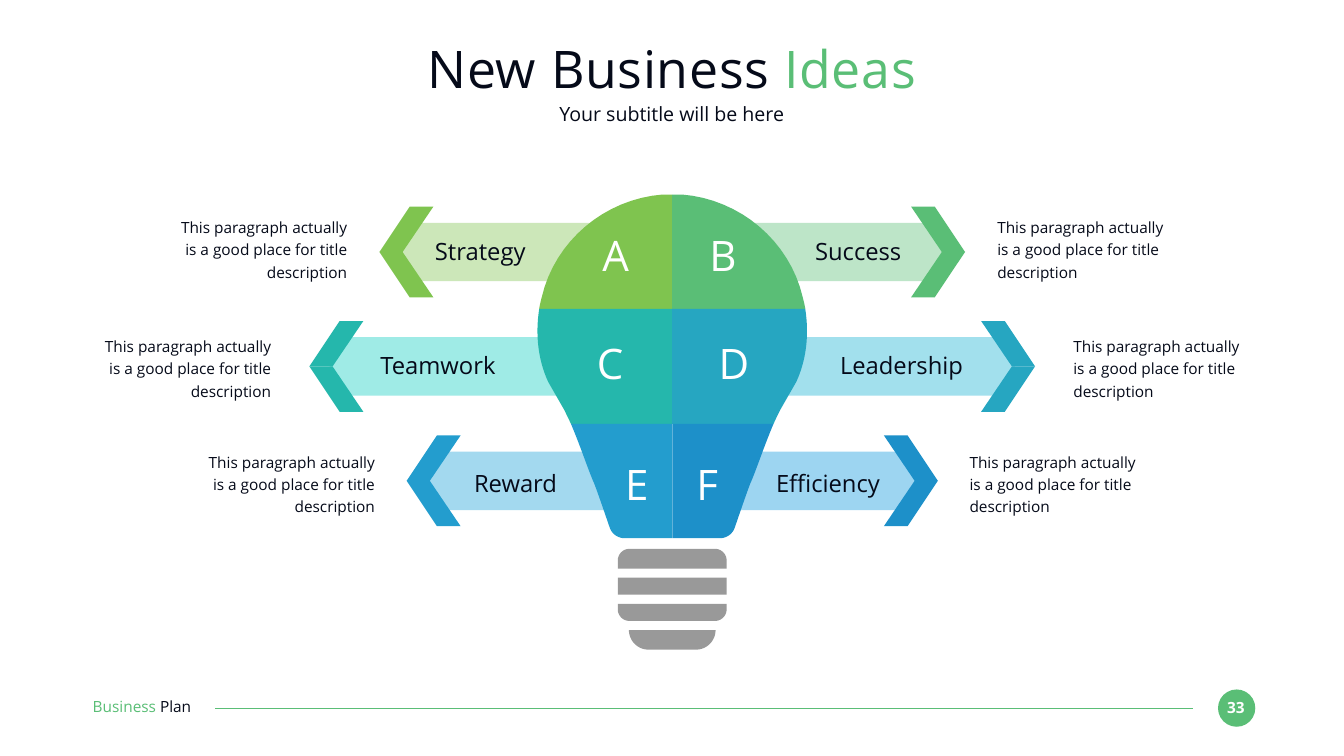
import pptx
import pptx.dml.color
import pptx.enum.shapes
import pptx.enum.text
import pptx.util
from lxml import etree

PX = 9144  # 100 px to the inch
AXIS = 1334  # the bulb is symmetric about this x
LEFT, RIGHT, BOTH = -1, 1, 0
INK, WHITE, GREEN, GREY = "050A19", "FFFFFF", "5ABE76", "999999"
rgb = pptx.dml.color.RGBColor.from_string
ALIGN = pptx.enum.text.PP_ALIGN

deck = pptx.Presentation()
deck.slide_width, deck.slide_height = 2667 * PX, 1500 * PX
slide = deck.slides.add_slide(deck.slide_layouts[6])


def draw(outline, colour, side):
    """Fill an outline given as (distance from AXIS, y); six numbers make a Bezier curve."""
    points = [outline[0]]
    for step in outline[1:]:
        if len(step) == 2:
            points.append(step)
            continue
        (x0, y0), (x1, y1, x2, y2, x3, y3) = points[-1], step
        for i in range(1, 17):
            t = i / 16
            u = 1 - t
            a, b, c, d = u ** 3, 3 * u * u * t, 3 * u * t * t, t ** 3
            points.append((a * x0 + b * x1 + c * x2 + d * x3,
                           a * y0 + b * y1 + c * y2 + d * y3))
    if side == BOTH:
        points += [(-x, y) for x, y in reversed(points)]
    elif side == LEFT:
        points = [(-x, y) for x, y in points]
    corners = [(round((AXIS + x) * PX), round(y * PX)) for x, y in points]
    builder = slide.shapes.build_freeform(*corners[0], scale=1.0)
    builder.add_line_segments(corners[1:], close=True)
    shape = builder.convert_to_shape()
    shape.shadow.inherit = False
    shape.fill.solid()
    shape.fill.fore_color.rgb = rgb(colour)
    shape.line.fill.background()


def write(box, runs, size, align=ALIGN.CENTER):
    """Add a text box; runs are (words, colour) pairs."""
    frame = slide.shapes.add_textbox(*[n * PX for n in box]).text_frame
    frame.margin_left = frame.margin_right = frame.margin_top = frame.margin_bottom = 0
    frame.word_wrap = True
    paragraph = frame.paragraphs[0]
    paragraph.alignment = align
    paragraph.font.name = "Open Sans"
    paragraph.font.size = pptx.util.Pt(size)
    for words, colour in runs:
        run = paragraph.add_run()
        run.text = words
        run.font.color.rgb = rgb(colour)
    return paragraph


# Footer
badge = slide.shapes.add_shape(pptx.enum.shapes.MSO_SHAPE.OVAL,
                               2417 * PX, 1368 * PX, 74 * PX, 74 * PX)
badge.shadow.inherit = False
badge.fill.solid()
badge.fill.fore_color.rgb = rgb(GREEN)
badge.line.fill.background()
page_number = write((2423, 1385, 59, 37), [("33", WHITE)], 22)
page_number.font.bold = True

rule = slide.shapes.add_connector(pptx.enum.shapes.MSO_CONNECTOR.STRAIGHT,
                                  2367 * PX, 1405 * PX, 427 * PX, 1405 * PX)
rule.line.color.rgb = rgb(GREEN)
rule.line.width = pptx.util.Pt(1.5)
etree.SubElement(rule._element.spPr, pptx.oxml.ns.qn("a:effectLst"))
write((184, 1384, 259, 37), [("Business ", GREEN), ("Plan", INK)], 22, ALIGN.LEFT)

# Heading
title = write((183, 73, 2300, 127), [("New Business ", INK), ("Ideas", GREEN)], 74)
for run in title.runs:
    run._r.get_or_add_rPr().set("spc", "100")
write((183, 203, 2300, 49), [("Your subtitle will be here", INK)], 28)

# Right half of each bulb tier, top to bottom
tiers = [
    [(0, 386), (19, 386), (134, 395, 233, 478, 259, 590),
     (261, 598, 263, 606, 264, 613), (0, 613)],
    [(0, 613), (264, 613), (272, 665, 266, 715, 246, 758), (215, 812),
     (211, 820, 206, 830, 201, 841), (0, 841)],
    [(0, 841), (201, 841), (183, 883, 164, 940, 155, 959),
     (148, 977, 134, 1018, 124, 1047), (120, 1059, 108, 1068, 94, 1068), (0, 1068)],
]

# tier, side, letter, letter left, label, label left, colour, band colour
ideas = [
    (0, LEFT, "A", 1168, "Strategy", 819, "7FC44F", "CCE7B9"),
    (0, RIGHT, "B", 1381, "Success", 1569, GREEN, "BDE5C8"),
    (1, LEFT, "C", 1157, "Teamwork", 684, "25B7AC", "9FEBE6"),
    (1, RIGHT, "D", 1403, "Leadership", 1604, "26A6C1", "A2E0ED"),
    (2, LEFT, "E", 1210, "Reward", 889, "239DCE", "A3D9EF"),
    (2, RIGHT, "F", 1350, "Efficiency", 1509, "1D90C9", "9DD5F1"),
]
# band start, arrow tip, description edge, label width, tops of letter, label, description
rows = [
    (63, 581, 645, 268, 455, 470, 426),
    (63, 720, 796, 370, 669, 695, 662),
    (9, 527, 590, 268, 909, 930, 891),
]

for tier, side, letter, letter_x, label, label_x, colour, band_colour in ideas:
    start, tip, edge, label_width, letter_y, label_y, description_y = rows[tier]
    middle = 500 + 227 * tier
    draw([(start, middle - 58), (tip - 75, middle - 58), (tip - 40, middle),
          (tip - 75, middle + 58), (start, middle + 58)], band_colour, side)
    for rise in (-90, 90):
        draw([(tip, middle), (tip - 46, middle), (tip - 107, middle + rise),
              (tip - 60, middle + rise)], colour, side)
    draw(tiers[tier], colour, side)

    write((letter_x, letter_y, 107, 101), [(letter, WHITE)], 60)
    write((label_x, label_y, label_width, 57), [(label, INK)], 34)
    description_x = AXIS + edge if side == RIGHT else AXIS - edge - 354
    description = write((description_x, description_y, 354, 133),
                        [("This paragraph actually is a good place for title description", INK)],
                        22, ALIGN.LEFT if side == RIGHT else ALIGN.RIGHT)
    description.line_spacing = 1.2

# Screw base: half width, top, bottom, top radius, bottom radius
for half, top, bottom, r_top, r_bottom in [(108, 1089, 1128, 23, 0), (108, 1146, 1180, 0, 0),
                                           (108, 1198, 1232, 0, 23), (86, 1250, 1289, 0, 39)]:
    k_top, k_bottom = 0.45 * r_top, 0.45 * r_bottom
    draw([(half - r_top, top),
          (half - k_top, top, half, top + k_top, half, top + r_top),
          (half, bottom - r_bottom),
          (half, bottom - k_bottom, half - k_bottom, bottom, half - r_bottom, bottom)],
         GREY, BOTH)

deck.save("out.pptx")
